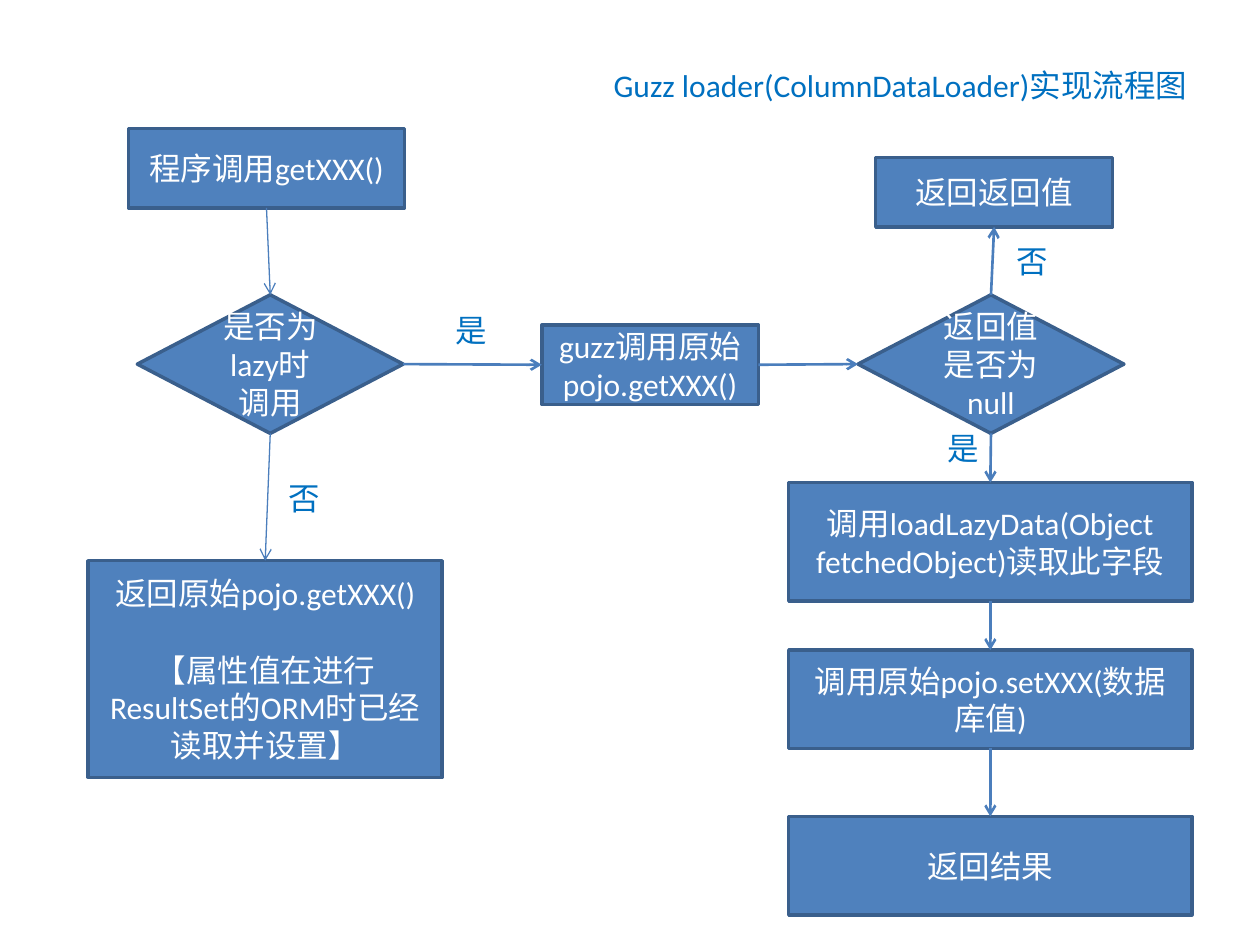
from lxml import etree
from pptx import Presentation
from pptx.dml.color import RGBColor
from pptx.enum.shapes import MSO_CONNECTOR, MSO_SHAPE
from pptx.enum.text import MSO_ANCHOR, MSO_AUTO_SIZE, PP_ALIGN
from pptx.oxml.ns import qn
from pptx.util import Inches, Pt

RECT = MSO_SHAPE.RECTANGLE
PROCESS = MSO_SHAPE.FLOWCHART_PROCESS
DECISION = MSO_SHAPE.FLOWCHART_DECISION
STRAIGHT = MSO_CONNECTOR.STRAIGHT
CENTER, LEFT = PP_ALIGN.CENTER, PP_ALIGN.LEFT
MIDDLE, TOP_ANCHOR = MSO_ANCHOR.MIDDLE, MSO_ANCHOR.TOP
NO_FIT, GROW = MSO_AUTO_SIZE.NONE, MSO_AUTO_SIZE.SHAPE_TO_FIT_TEXT

BOX_FILL = RGBColor(0x4F, 0x81, 0xBD)
BOX_LINE = RGBColor(0x3A, 0x5F, 0x8C)
ARROW = RGBColor(0x4B, 0x7E, 0xBC)
LABEL = RGBColor(0x00, 0x70, 0xC0)
WHITE = RGBColor(0xFF, 0xFF, 0xFF)

FONT, SIZE = "Calibri", Pt(18)
THIN, THICK = 0.75, 1.5
TOP, LEFT_SIDE, BOTTOM, RIGHT_SIDE = range(4)  # connection sites


def write(paragraph, text, color, align):
    paragraph.alignment = align
    run = paragraph.add_run()
    run.text = text
    run.font.name, run.font.size = FONT, SIZE
    run.font.color.rgb = color


def add_step(slide, kind, box, *texts):
    """Add a flowchart node; later paragraphs stand one line apart."""
    step = slide.shapes.add_shape(kind, *map(Inches, box))
    step.shadow.inherit = False
    step.fill.solid()
    step.fill.fore_color.rgb = BOX_FILL
    step.line.color.rgb = BOX_LINE
    step.line.width = Pt(2)
    frame = step.text_frame
    frame.word_wrap = True
    frame.vertical_anchor = MIDDLE
    for i, text in enumerate(texts):
        paragraph = frame.add_paragraph() if i else frame.paragraphs[0]
        if i:
            paragraph.space_before = Pt(22)
        write(paragraph, text, WHITE, CENTER)
    return step


def add_arrow(slide, source, source_site, target, target_site, width=THICK):
    arrow = slide.shapes.add_connector(STRAIGHT, 0, 0, 0, 0)
    arrow.begin_connect(source, source_site)
    arrow.end_connect(target, target_site)
    arrow.line.color.rgb = ARROW
    arrow.line.width = Pt(width)
    line = arrow.line._get_or_add_ln()
    etree.SubElement(line, qn("a:tailEnd"), type="arrow")
    etree.SubElement(arrow._element.spPr, qn("a:effectLst"))


def add_label(slide, left, top, text):
    label = slide.shapes.add_textbox(
        Inches(left), Inches(top), Inches(0.45), Inches(0.4))
    frame = label.text_frame
    frame.word_wrap = False
    frame.auto_size = GROW
    write(frame.paragraphs[0], text, LABEL, LEFT)


def set_title(slide, text):
    title = slide.shapes.title
    title.left, title.top = Inches(4.77), Inches(0.47)
    title.width, title.height = Inches(4.84), Inches(0.4)
    frame = title.text_frame
    frame.word_wrap = True
    frame.auto_size = NO_FIT
    frame.vertical_anchor = TOP_ANCHOR
    write(frame.paragraphs[0], text, LABEL, LEFT)


def main():
    prs = Presentation()
    prs.slide_width, prs.slide_height = Inches(10), Inches(7.5)
    slide = prs.slides.add_slide(prs.slide_layouts[5])
    set_title(slide, "Guzz loader(ColumnDataLoader)实现流程图")

    # Left branch: is the call lazy?
    call = add_step(slide, RECT, (1.02, 1.02, 2.19, 0.63), "程序调用getXXX()")
    is_lazy = add_step(slide, DECISION, (1.09, 2.34, 2.11, 1.1), "是否为lazy时调用")
    return_original = add_step(
        slide, RECT, (0.7, 4.45, 2.81, 1.72),
        "返回原始pojo.getXXX()", "【属性值在进行ResultSet的ORM时已经读取并设置】")

    # Middle: original getter
    getter = add_step(slide, RECT, (4.3, 2.58, 1.72, 0.63),
                      "guzz调用原始pojo.getXXX()")

    # Right branch: is the value null?
    is_null = add_step(slide, DECISION, (6.81, 2.34, 2.11, 1.1), "返回值是否为null")
    return_value = add_step(slide, PROCESS, (6.95, 1.25, 1.88, 0.55), "返回返回值")
    load = add_step(slide, PROCESS, (6.26, 3.83, 3.2, 0.94),
                    "调用loadLazyData(Object fetchedObject)读取此字段")
    setter = add_step(slide, PROCESS, (6.26, 5.16, 3.2, 0.78),
                      "调用原始pojo.setXXX(数据库值)")
    result = add_step(slide, PROCESS, (6.26, 6.48, 3.2, 0.78), "返回结果")

    # Flow
    add_arrow(slide, call, BOTTOM, is_lazy, TOP, THIN)
    add_arrow(slide, is_lazy, BOTTOM, return_original, TOP, THIN)
    add_arrow(slide, is_lazy, RIGHT_SIDE, getter, LEFT_SIDE)
    add_arrow(slide, getter, RIGHT_SIDE, is_null, LEFT_SIDE)
    add_arrow(slide, is_null, TOP, return_value, BOTTOM)
    for upper, lower in ((is_null, load), (load, setter), (setter, result)):
        add_arrow(slide, upper, BOTTOM, lower, TOP)

    # Yes / no answers
    for left, top, answer in ((3.52, 2.42, "是"), (2.19, 3.75, "否"),
                              (7.97, 1.87, "否"), (7.42, 3.36, "是")):
        add_label(slide, left, top, answer)

    prs.save("out.pptx")


if __name__ == "__main__":
    main()
